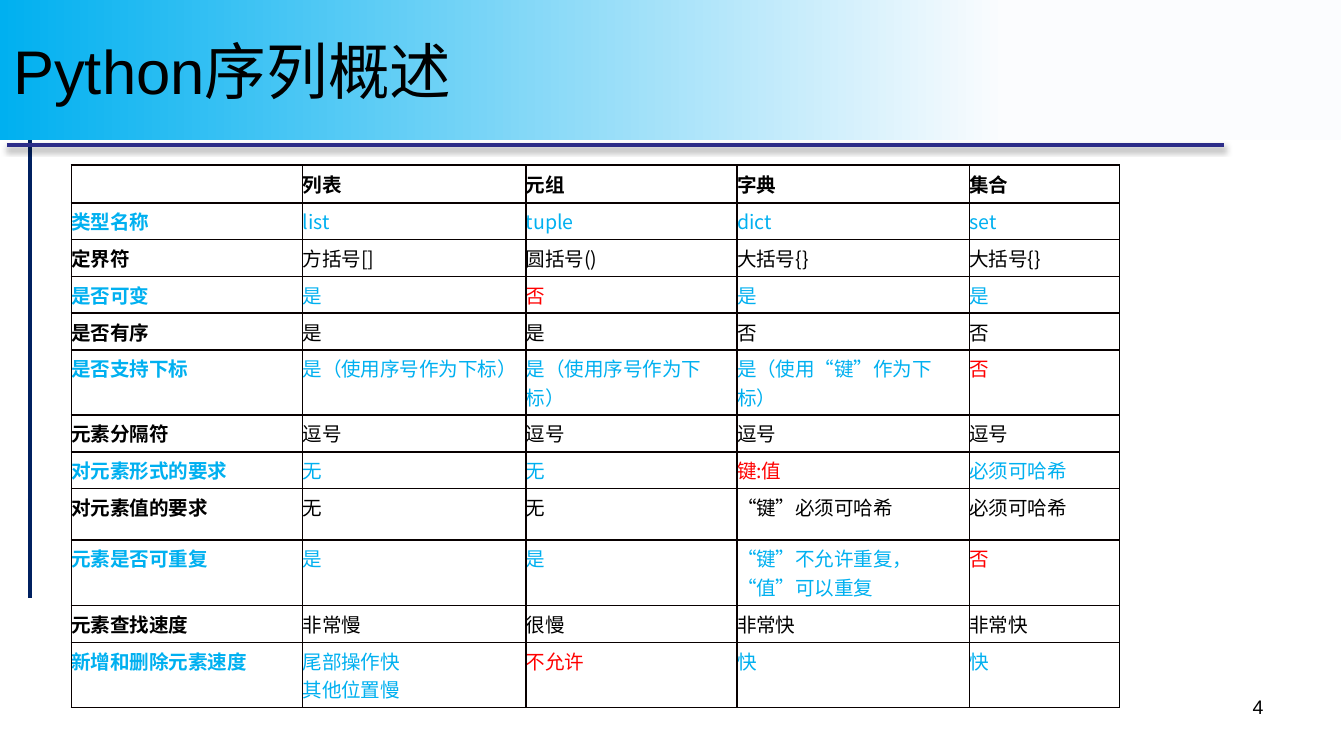
from lxml import etree
from pptx import Presentation
from pptx.dml.color import RGBColor
from pptx.enum.lang import MSO_LANGUAGE_ID
from pptx.enum.shapes import MSO_CONNECTOR, MSO_SHAPE
from pptx.enum.text import MSO_ANCHOR, PP_ALIGN
from pptx.oxml.ns import qn
from pptx.util import Cm, Pt

STRAIGHT = MSO_CONNECTOR.STRAIGHT
RECTANGLE = MSO_SHAPE.RECTANGLE
MIDDLE = MSO_ANCHOR.MIDDLE
LEFT, RIGHT = PP_ALIGN.LEFT, PP_ALIGN.RIGHT
CHINESE = MSO_LANGUAGE_ID.SIMPLIFIED_CHINESE

BLACK = RGBColor(0x00, 0x00, 0x00)
NAVY = RGBColor(0x00, 0x20, 0x60)
INDIGO = RGBColor(0x2D, 0x2D, 0x89)
SKY = RGBColor(0x00, 0xB0, 0xF0)
PALE = RGBColor(0xFB, 0xFC, 0xFE)
RED = RGBColor(0xFF, 0x00, 0x00)
GRID = RGBColor(0x08, 0x00, 0x00)

LATIN, CJK = "Arial", "Noto Sans CJK SC"

# Row height in cm, then the cells
ROWS = [
    (0.71, ["", "列表", "元组", "字典", "集合"]),
    (0.58, ["类型名称", "list", "tuple", "dict", "set"]),
    (0.66, ["定界符", "方括号[]", "圆括号()", "大括号{}", "大括号{}"]),
    (0.58, ["是否可变", "是", "否", "是", "是"]),
    (0.66, ["是否有序", "是", "是", "否", "否"]),
    (1.04, ["是否支持下标", "是（使用序号作为下标）", "是（使用序号作为下标）",
            "是（使用“键”作为下标）", "否"]),
    (0.66, ["元素分隔符", "逗号", "逗号", "逗号", "逗号"]),
    (0.66, ["对元素形式的要求", "无", "无", "键:值", "必须可哈希"]),
    (0.97, ["对元素值的要求", "无", "无", "“键”必须可哈希", "必须可哈希"]),
    (1.24, ["元素是否可重复", "是", "是", "“键”不允许重复，“值”可以重复", "否"]),
    (0.66, ["元素查找速度", "非常慢", "很慢", "非常快", "非常快"]),
    (1.04, ["新增和删除元素速度", "尾部操作快\n其他位置慢", "不允许", "快", "快"]),
]
COLUMNS = [4.37, 4.22, 3.99, 4.39, 2.84]
EXCEPTIONS = {"否", "键:值", "不允许"}  # red in the blue rows


def style(p, size, font, color=BLACK, bold=False, align=LEFT):
    p.alignment = align
    f = p.font
    f.size, f.name, f.bold = Pt(size), font, bold
    f.color.rgb = color
    f.language_id = CHINESE
    props = p._p.pPr.find(qn("a:defRPr"))
    etree.SubElement(props, qn("a:ea"), typeface=CJK)


def add_line(slide, x1, y1, x2, y2, color):
    line = slide.shapes.add_connector(STRAIGHT, Cm(x1), Cm(y1), Cm(x2), Cm(y2))
    line.line.color.rgb = color
    line.line.width = Pt(2.25)
    return etree.SubElement(line._element.spPr, qn("a:effectLst"))


def add_frame_lines(slide, x, y, w, h):
    # Vertical rule at the left, shadowed rule under the title
    add_line(slide, x + 0.43, y, x + 0.43, y + h, NAVY)
    effects = add_line(slide, x, y + 0.68, x + w, y + 0.68, INDIGO)
    shadow = etree.SubElement(effects, qn("a:outerShdw"), blurRad=str(Pt(3.1)),
                              dist=str(Pt(1.8)), dir="5400000", rotWithShape="0")
    tint = etree.SubElement(shadow, qn("a:srgbClr"), val=str(BLACK))
    etree.SubElement(tint, qn("a:alpha"), val="35000")


def set_borders(cell, first_column):
    props = cell._tc.get_or_add_tcPr()
    for i, side in enumerate(("lnL", "lnR", "lnT", "lnB")):
        thin = side == "lnR" and not first_column
        ln = etree.Element(qn(f"a:{side}"), w=str(Pt(0.75 if thin else 1)))
        solid = etree.SubElement(ln, qn("a:solidFill"))
        etree.SubElement(solid, qn("a:srgbClr"), val=str(BLACK if thin else GRID))
        props.insert(i, ln)


def add_comparison_table(slide, x, y, w, h):
    table = slide.shapes.add_table(len(ROWS), len(COLUMNS),
                                   Cm(x), Cm(y), Cm(w), Cm(h)).table
    table.first_row = table.horz_banding = False
    for column, width in zip(table.columns, COLUMNS):
        column.width = Cm(width)
    for r, (height, texts) in enumerate(ROWS):
        table.rows[r].height = Cm(height)
        row_color = SKY if r % 2 else BLACK
        for c, text in enumerate(texts):
            cell = table.cell(r, c)
            cell.margin_left = cell.margin_right = 0
            cell.margin_top = cell.margin_bottom = Cm(0.08)
            cell.fill.background()
            set_borders(cell, c == 0)
            cell.text = text
            color = RED if r % 2 and text in EXCEPTIONS else row_color
            for p in cell.text_frame.paragraphs:
                style(p, 10.5, CJK, color, bold=r == 0 or c == 0)


def add_title(slide, x, y, w, h):
    s = slide.shapes.add_shape(RECTANGLE, Cm(x), Cm(y), Cm(w), Cm(h))
    s.shadow.inherit = False
    s.line.fill.background()
    s.fill.gradient()
    s.fill.gradient_angle = 180
    for stop, (position, color) in zip(s.fill.gradient_stops,
                                       [(0.25, PALE), (1, SKY)]):
        stop.position = position
        stop.color.rgb = color
    tf = s.text_frame
    tf.vertical_anchor = MIDDLE
    tf.text = "Python序列概述"
    style(tf.paragraphs[0], 33, LATIN)


def add_page_number(slide, x, y, w, h):
    tf = slide.shapes.add_textbox(Cm(x), Cm(y), Cm(w), Cm(h)).text_frame
    tf.word_wrap = True
    tf.text = "4"
    style(tf.paragraphs[0], 10.5, LATIN, align=RIGHT)


def main():
    prs = Presentation()
    prs.slide_width, prs.slide_height = Cm(25.4), Cm(14.28)
    slide = prs.slides.add_slide(prs.slide_layouts[6])
    add_frame_lines(slide, 0.13, 2.06, 23.01, 9.24)
    add_comparison_table(slide, 1.35, 3.12, sum(COLUMNS), sum(h for h, _ in ROWS))
    add_title(slide, 0, 0, 25.35, 2.64)
    add_page_number(slide, 18.21, 13, 5.92, 0.99)
    prs.save("out.pptx")


if __name__ == "__main__":
    main()
